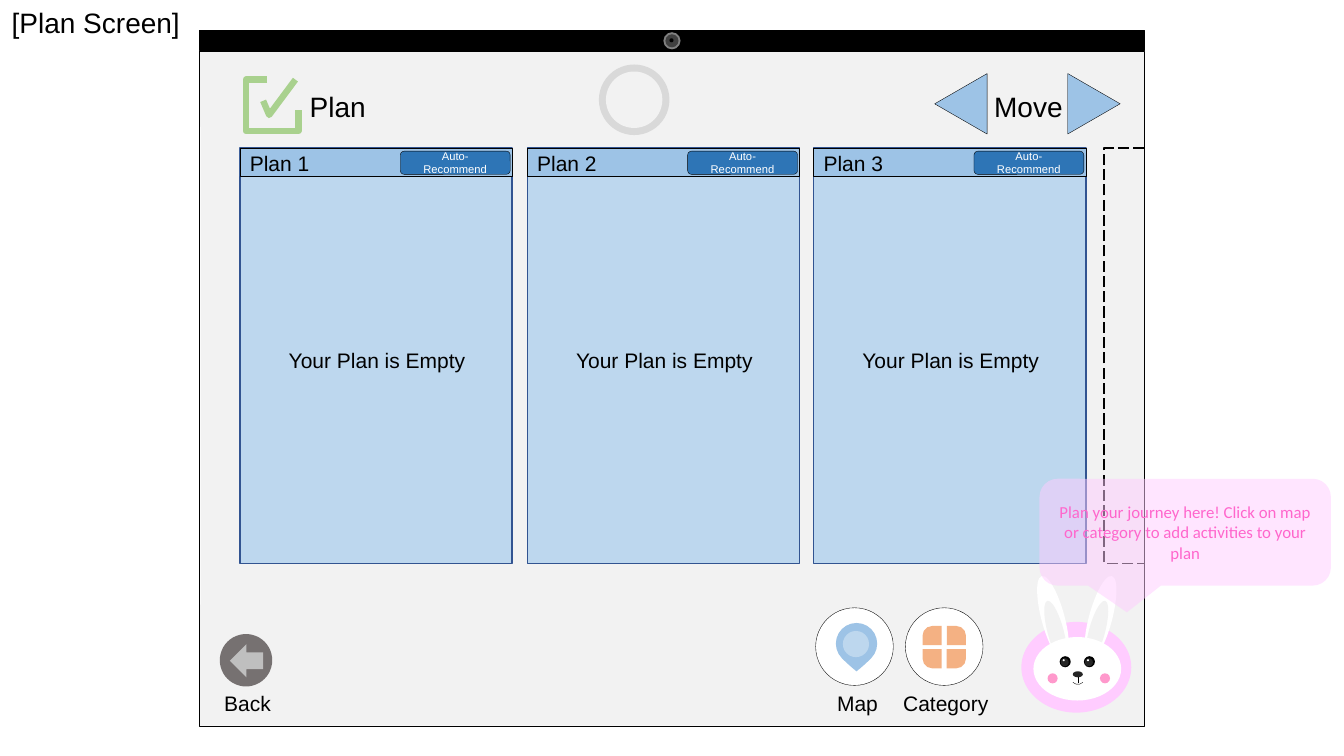
from lxml import etree
from pptx import Presentation
from pptx import util as u
from pptx.dml import color
from pptx.enum import dml, shapes, text
from pptx.oxml import ns

PX = 9144  # EMU per px, 100 px to the inch
COLORS = {
    "black": "000000", "white": "FFFFFF", "screen": "F2F2F2", "ring": "D9D9D9",
    "lens": "808080", "lens_core": "404040", "dark": "262626",
    "back": "767171", "back_arrow": "BFBFBF", "green": "A9D18E",
    "blue": "9DC3E6", "pale_blue": "BDD7EE", "button": "2E75B6", "navy": "325491",
    "orange": "F4B183", "pink": "FFCCFF", "cheek": "FF99CC", "hot_pink": "FF66CC",
}
SHAPE = shapes.MSO_SHAPE
CENTER, LEFT = text.PP_ALIGN.CENTER, text.PP_ALIGN.LEFT


class Screen:
    """Holds the style and the current slide."""

    def __init__(self, presentation):
        layout = presentation.slide_layouts.get_by_name("Title Only")
        self.slide = presentation.slides.add_slide(layout)
        self.font = "Arial"

    def rgb(self, name):
        return color.RGBColor.from_string(COLORS[name])

    def outline(self, line, name, width):
        if name is None:
            line.fill.background()
        else:
            line.color.rgb = self.rgb(name)
            line.width = u.Pt(width)

    def add_words(self, shape, words, size, ink="black", align=CENTER, font=None):
        paragraph = shape.text_frame.paragraphs[0]
        paragraph.alignment = align
        run = paragraph.add_run()
        run.text = words
        run.font.size = u.Pt(size)
        run.font.name = font or self.font
        run.font.color.rgb = self.rgb(ink)

    def title(self, words, left, top, width, height):
        shape = self.slide.shapes.title
        shape.left, shape.top, shape.width, shape.height = (
            v * PX for v in (left, top, width, height))
        shape.text_frame.word_wrap = False
        shape.text_frame.auto_size = text.MSO_AUTO_SIZE.NONE
        shape.text_frame.vertical_anchor = text.MSO_ANCHOR.TOP
        self.add_words(shape, words, 20)

    def label(self, words, left, top, width, height, size=15, align=CENTER):
        shape = self.slide.shapes.add_textbox(left * PX, top * PX, width * PX, height * PX)
        shape.text_frame.word_wrap = True
        shape.text_frame.auto_size = text.MSO_AUTO_SIZE.SHAPE_TO_FIT_TEXT
        self.add_words(shape, words, size, align=align)

    def shape(self, kind, left, top, width, height, fill=None, line=None,
              weight=0.25, turn=0, adjust=()):
        shape = self.slide.shapes.add_shape(
            kind, left * PX, top * PX, width * PX, height * PX)
        shape.shadow.inherit = False
        shape.rotation = turn
        for index, value in enumerate(adjust):
            shape.adjustments[index] = value
        if fill:
            shape.fill.solid()
            shape.fill.fore_color.rgb = self.rgb(fill)
        else:
            shape.fill.background()
        self.outline(shape.line, line, weight)
        shape.text_frame.vertical_anchor = text.MSO_ANCHOR.MIDDLE
        return shape

    def rect(self, *box, **style):
        return self.shape(SHAPE.RECTANGLE, *box, **style)

    def oval(self, *box, **style):
        return self.shape(SHAPE.OVAL, *box, **style)

    def line(self, x1, y1, x2, y2):
        connector = self.slide.shapes.add_connector(
            shapes.MSO_CONNECTOR.STRAIGHT, x1 * PX, y1 * PX, x2 * PX, y2 * PX)
        self.outline(connector.line, "black", 0.25)
        etree.SubElement(connector._element.spPr, ns.qn("a:effectLst"))

    def stroke(self, points, ink, weight):
        builder = self.slide.shapes.build_freeform(*points[0], scale=PX)
        builder.add_line_segments(points[1:], close=False)
        shape = builder.convert_to_shape()
        shape.shadow.inherit = False
        shape.fill.background()
        self.outline(shape.line, ink, weight)

    def fade(self, shape, percent):
        rgb = shape._element.spPr.find(".//" + ns.qn("a:srgbClr"))
        etree.SubElement(rgb, ns.qn("a:alpha"), val=str(percent * 1000))


def draw_tablet(screen):
    screen.rect(198, 51, 937, 669, fill="screen", line="black")
    screen.rect(198, 30, 937, 20, fill="black", line="black", weight=1)
    for inset, size, fill in ((0, 17, "lens"), (2, 13, "lens_core"), (6, 4, "black")):
        screen.oval(658 + inset, 32 + inset, size, size, fill=fill)


def draw_rabbit(screen):
    screen.oval(1013, 617, 109, 90, fill="pink")
    for outer, inner, turn in ((1033, 1039, 345), (1080, 1080, 15)):
        screen.oval(outer, 570, 23, 87, fill="white", turn=turn)
        screen.oval(inner, 595, 16, 63, fill="screen", turn=turn)
    screen.oval(1025, 632, 87, 63, fill="white")
    for eye in (1051, 1075):
        screen.oval(eye, 651, 11, 11, fill="black")
        screen.oval(eye + 1, 653, 8, 8, fill="dark")
        screen.oval(eye + 3, 654, 2, 2, fill="white")
    screen.oval(1064, 666, 10, 6, fill="dark")
    screen.line(1069, 672, 1069, 678)
    screen.shape(SHAPE.ARC, 1062, 665, 14, 14, line="black", turn=135)
    for cheek in (1039, 1091):
        screen.oval(cheek, 668, 10, 10, fill="cheek")


def draw_header(screen):
    # Ticked box
    screen.stroke([(265, 79), (244, 79), (244, 130), (296, 130), (296, 109)], "green", 4.5)
    screen.stroke([(261, 100), (267, 114), (293, 79)], "green", 4.5)
    screen.label("Plan", 238, 84, 194, 44, size=20)
    # Move arrows
    for left, turn in ((1055, 90), (923, 270)):
        screen.shape(SHAPE.ISOSCELES_TRIANGLE, left, 77, 60, 52,
                     fill="blue", line="black", turn=turn)
    screen.label("Move", 963, 84, 114, 44, size=20)
    # Ring
    screen.oval(594, 64, 70, 70, fill="ring")
    screen.oval(601, 71, 56, 56, fill="screen")


def draw_plans(screen):
    for number, left in enumerate((238, 523, 807), start=1):
        screen.rect(left, 147, 270, 412, fill="pale_blue", line="navy", weight=1)
        screen.rect(left, 147, 270, 28, fill="blue", line="black")
        screen.label(f"Plan {number}", left, 144, 194, 35, align=LEFT)
        screen.label("Your Plan is Empty", left + 1, 340, 270, 35)
        button = screen.shape(SHAPE.ROUNDED_RECTANGLE, left + 159, 150, 109, 23,
                              fill="button", line="black")
        screen.add_words(button, "Auto-Recommend", 8, ink="white")
    # Next plan, cut off at the edge of the screen
    next_plan = screen.rect(1095, 147, 270, 412, line="black", weight=1)
    next_plan.line.dash_style = dml.MSO_LINE.LONG_DASH
    for left, edge in ((1135, 1135), (1, 198)):
        screen.rect(left, 126, 198, 474, fill="white")
        screen.line(edge, 84, edge, 651)


def draw_buttons(screen):
    # Back
    screen.oval(218, 629, 52, 52, fill="back")
    screen.shape(SHAPE.LEFT_ARROW, 228, 639, 33, 33, fill="back_arrow")
    screen.label("Back", 211, 680, 69, 35)
    # Category
    screen.oval(898, 603, 77, 77, fill="white", line="black")
    for left, top, turn in ((939, 621, 0), (915, 621, 270), (939, 644, 90), (915, 644, 180)):
        screen.shape(SHAPE.ROUND_1_RECTANGLE, left, top, 19, 19,
                     fill="orange", turn=turn, adjust=(0.5,))
    screen.label("Category", 880, 680, 116, 35)
    # Map
    screen.oval(809, 603, 77, 77, fill="white", line="black")
    screen.shape(SHAPE.TEAR, 829, 618, 41, 41, fill="blue", turn=135, adjust=(0.95,))
    screen.oval(836, 626, 26, 26, fill="pale_blue")
    screen.label("Map", 816, 680, 69, 35)


def draw_speech(screen):
    bubble = screen.shape(SHAPE.ROUNDED_RECTANGULAR_CALLOUT, 1031, 475, 289, 106,
                          fill="pink", adjust=(-0.2, 0.75, 0.17))
    screen.fade(bubble, 50)
    screen.add_words(bubble, "Plan your journey here! Click on map or category to add "
                     "activities to your plan", 12, ink="hot_pink", font="Calibri")


def main():
    presentation = Presentation()
    presentation.slide_width, presentation.slide_height = 1333 * PX, 750 * PX
    screen = Screen(presentation)
    screen.title("[Plan Screen]", 0, 0, 190, 44)
    draw_tablet(screen)
    draw_rabbit(screen)
    draw_header(screen)
    draw_plans(screen)
    draw_buttons(screen)
    draw_speech(screen)
    presentation.save("out.pptx")


if __name__ == "__main__":
    main()
